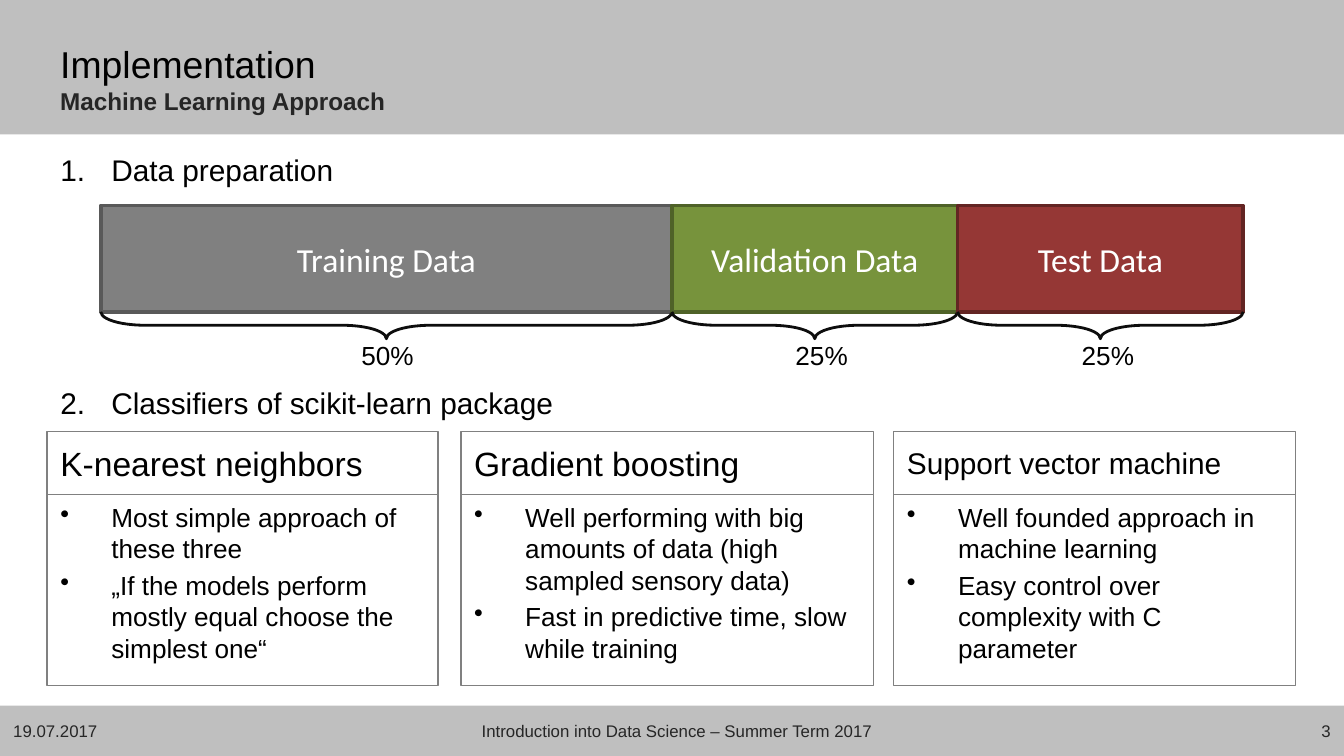
"""Build the slide on data preparation and classifiers."""
from lxml import etree
from pptx import Presentation
from pptx.dml.color import RGBColor
from pptx.enum.shapes import MSO_SHAPE
from pptx.enum.text import MSO_ANCHOR, PP_ALIGN
from pptx.oxml.ns import qn
from pptx.util import Inches, Pt

RECT, BRACE = MSO_SHAPE.RECTANGLE, MSO_SHAPE.LEFT_BRACE
TOP, MIDDLE = MSO_ANCHOR.TOP, MSO_ANCHOR.MIDDLE
LEFT, CENTER, RIGHT = PP_ALIGN.LEFT, PP_ALIGN.CENTER, PP_ALIGN.RIGHT
BLACK, DARK, GRAY, BAND, WHITE = "000000", "262626", "808080", "BFBFBF", "FFFFFF"
WIDTH = 10
HEIGHT = WIDTH * 9 / 16

TITLE, SUBTITLE = "Implementation", "Machine Learning Approach"
BANDS = [(0, 1), (5.25, HEIGHT)]
STEPS = [(1.08, "Data preparation"), (2.81, "Classifiers of scikit-learn package")]
SPLITS = [
    ("Training Data", 50, GRAY, "595959", 2.59),
    ("Validation Data", 25, "77933C", "4F6228", 5.82),
    ("Test Data", 25, "953735", "632523", 7.95),
]
CLASSIFIERS = [
    (0.35, 2.91, "K-nearest neighbors", 18, [
        "Most simple approach of these three",
        "„If the models perform mostly equal choose the simplest one“"]),
    (3.43, 3.07, "Gradient boosting", 18, [
        "Well performing with big amounts of data (high sampled sensory data)",
        "Fast in predictive time, slow while training"]),
    (6.65, 2.99, "Support vector machine", 16, [
        "Well founded approach in machine learning",
        "Easy control over complexity with C parameter"]),
]
FOOTER = [
    (0, 0.91, "19.07.2017", LEFT),
    (1.06, 7.95, "Introduction into Data Science – Summer Term 2017", CENTER),
    (9.09, 0.91, "3", RIGHT),
]
BAR_LEFT, BAR_TOP, BAR_WIDTH, BAR_HEIGHT = 0.75, 1.53, 8.5, 0.79
BRACE_MIDDLE, BRACE_DEPTH = 2.42, 0.2


def rgb(color):
    return RGBColor.from_string(color)


def add_shape(kind, x, y, w, h, fill=None, line=None, weight=0.75):
    sp = s.shapes.add_shape(kind, Inches(x), Inches(y), Inches(w), Inches(h))
    sp.shadow.inherit = False
    if fill:
        sp.fill.solid()
        sp.fill.fore_color.rgb = rgb(fill)
    else:
        sp.fill.background()
    if line:
        sp.line.color.rgb = rgb(line)
        sp.line.width = Pt(weight)
    else:
        sp.line.fill.background()
    return sp


def add_box(x, y, w, h):
    return s.shapes.add_textbox(Inches(x), Inches(y), Inches(w), Inches(h))


def add_run(p, text, size, color=BLACK, font="Arial", bold=False):
    r = p.add_run()
    r.text = text
    r.font.size, r.font.name, r.font.bold = Pt(size), font, bold
    r.font.color.rgb = rgb(color)


def set_bullet(p, tag, **attrs):
    pPr = p._p.get_or_add_pPr()
    pPr.set("marL", str(Inches(0.38)))
    pPr.set("indent", str(-Inches(0.38)))
    etree.SubElement(pPr, qn(tag), attrs)


def start_text(sp, anchor=MIDDLE, align=LEFT, wrap=True):
    tf = sp.text_frame
    tf.word_wrap, tf.vertical_anchor = wrap, anchor
    p = tf.paragraphs[0]
    p.alignment = align
    return p


prs = Presentation()
prs.slide_width, prs.slide_height = Inches(WIDTH), Inches(HEIGHT)
s = prs.slides.add_slide(prs.slide_layouts[6])

for top, bottom in BANDS:
    add_shape(RECT, 0, top, WIDTH, bottom - top, BAND)

p = start_text(add_box(0.35, 0.23, 8.43, 0.7))
add_run(p, TITLE, 20)
p.add_line_break()
add_run(p, SUBTITLE, 13, DARK, bold=True)

for number, (y, text) in enumerate(STEPS, 1):
    p = start_text(add_shape(RECT, 0.35, y, 9.29, 0.39, line=WHITE), TOP)
    p.space_before = Pt(3.2)
    set_bullet(p, "a:buAutoNum", type="arabicPeriod", startAt=str(number))
    add_run(p, text, 16)

x = BAR_LEFT
for name, share, fill, line, label_left in SPLITS:
    w = BAR_WIDTH * share / 100
    bar = add_shape(RECT, x, BAR_TOP, w, BAR_HEIGHT, fill, line, 2)
    add_run(start_text(bar, align=CENTER), name, 18, WHITE, "Calibri")
    brace = add_shape(BRACE, x + (w - BRACE_DEPTH) / 2, BRACE_MIDDLE - w / 2,
                      BRACE_DEPTH, w, line="0D0D0D", weight=1.5)
    brace.rotation = 270
    brace.adjustments[0] = 1.64
    label = add_box(label_left, 2.48, 0.59, 0.34)
    add_run(start_text(label, TOP, wrap=False), f"{share}%", 14)
    x += w

for x, w, name, size, points in CLASSIFIERS:
    p = start_text(add_shape(RECT, x, 3.21, w, 0.47, line=GRAY))
    p.space_before = Pt(0.2 * size)
    add_run(p, name, size)
    body = add_shape(RECT, x, 3.68, w, 1.42, line=GRAY)
    p = start_text(body, TOP)
    for i, point in enumerate(points):
        if i:
            p = body.text_frame.add_paragraph()
            p.alignment = LEFT
        p.space_before = Pt(2.8)
        set_bullet(p, "a:buChar", char="•")
        add_run(p, point, 14)

for x, w, text, align in FOOTER:
    add_run(start_text(add_box(x, 5.32, w, 0.24), align=align), text, 9, DARK)

prs.save("out.pptx")
